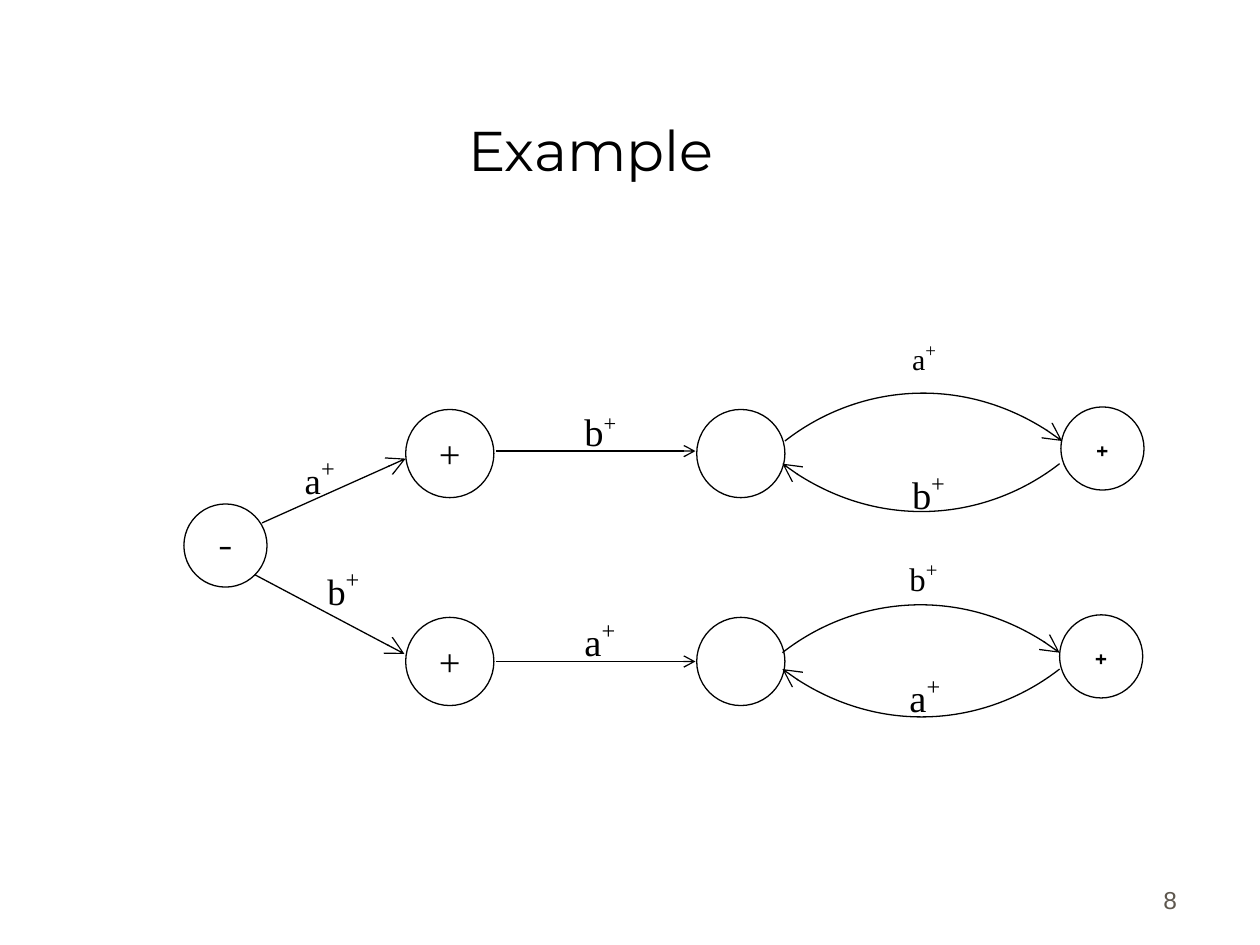
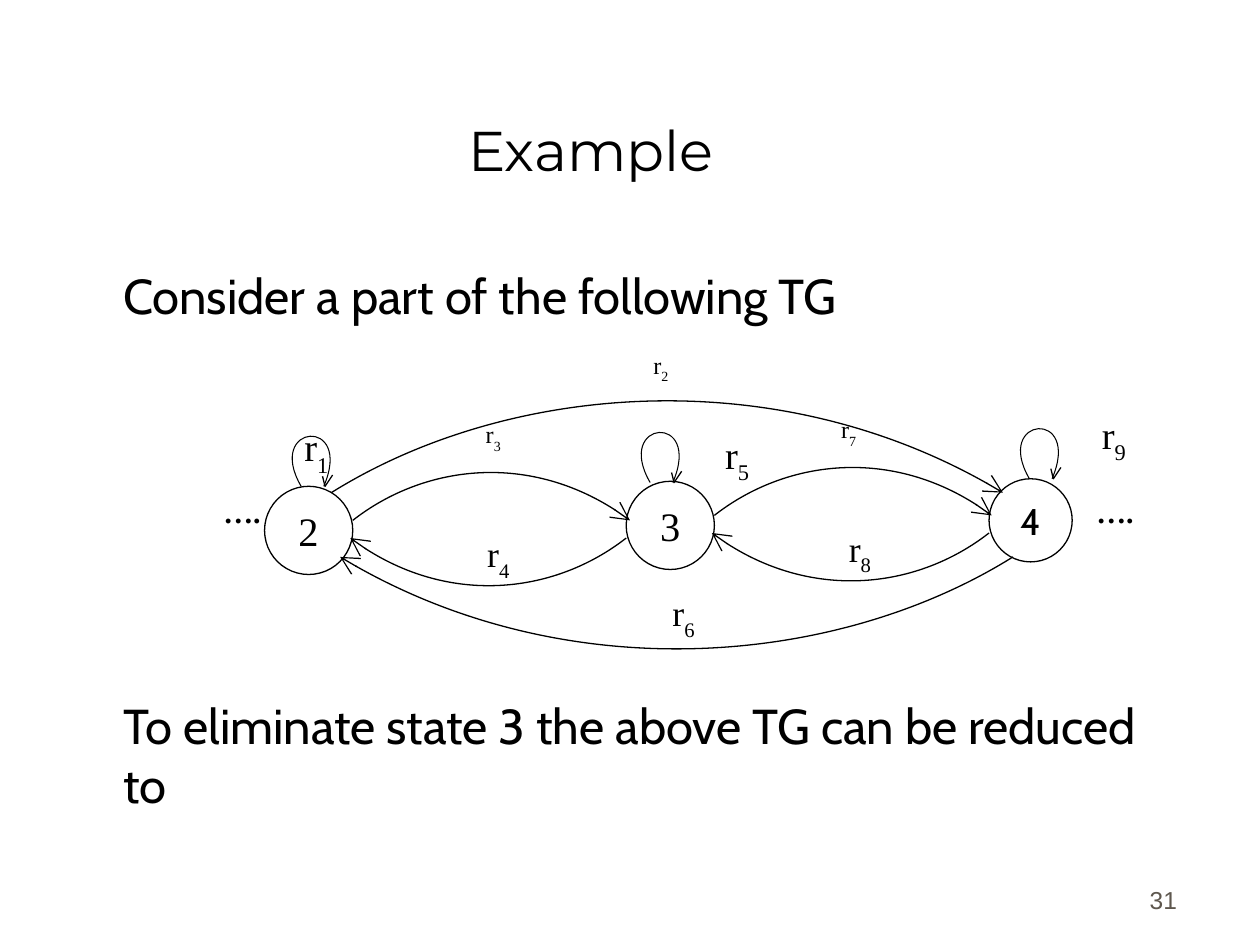
from lxml import etree
from pptx import Presentation
from pptx import util as u
from pptx.dml.color import RGBColor
from pptx.enum import shapes, text
from pptx.oxml import ns

INK, PAPER, GREY = "000000", "FFFFFF", "5E574E"
SERIF, SANS, TITLE_FONT, NUMBER_FONT = "Times New Roman", "Cabin", "Montserrat", "Arial"
colour = RGBColor.from_string
LEFT, CENTER, RIGHT = text.PP_ALIGN.LEFT, text.PP_ALIGN.CENTER, text.PP_ALIGN.RIGHT
TOP, MIDDLE, BOTTOM = text.MSO_ANCHOR.TOP, text.MSO_ANCHOR.MIDDLE, text.MSO_ANCHOR.BOTTOM


def write(box, spans, font=SERIF, align=LEFT, anchor=TOP, spacing=None,
          ink=INK, bold=False, margins=(0.1, 0.05)):
    """Fill a box with one paragraph; each span is (words, size, baseline shift in %)."""
    frame = box.text_frame
    frame.word_wrap = True
    frame.vertical_anchor = anchor
    frame.margin_left = frame.margin_right = u.Inches(margins[0])
    frame.margin_top = frame.margin_bottom = u.Inches(margins[1])
    para = frame.paragraphs[0]
    para.alignment = align
    para.line_spacing = spacing
    for words, size, shift in spans:
        span = para.add_run()
        span.text = words
        span.font.name = font
        span.font.size = u.Pt(size)
        span.font.bold = bold
        span.font.color.rgb = colour(ink)
        if shift:
            span._r.get_or_add_rPr().set("baseline", str(shift * 1000))


def draw(page, points, head=None, curved=False, width=0.75):
    """Draw a straight line, an open outline or a cubic curve, with an optional arrowhead."""
    spots = [(u.Inches(x), u.Inches(y)) for x, y in points]
    if len(spots) == 2:
        line = page.shapes.add_connector(shapes.MSO_CONNECTOR.STRAIGHT, *spots[0], *spots[1])
        etree.SubElement(line._element.spPr, ns.qn("a:effectLst"))
    else:
        builder = page.shapes.build_freeform(*spots[0])
        builder.add_line_segments(spots[1:], close=False)
        line = builder.convert_to_shape()
        line.shadow.inherit = False
        line.fill.background()
    if curved:
        outline = line._element.find(".//" + ns.qn("a:path"))
        bends = outline.findall(ns.qn("a:lnTo"))
        curve = etree.SubElement(outline, ns.qn("a:cubicBezTo"))
        for bend in bends:
            curve.append(bend[0])
            outline.remove(bend)
    line.line.color.rgb = colour(INK)
    line.line.width = u.Pt(width)
    if head:
        etree.SubElement(line.line._get_or_add_ln(), ns.qn("a:tailEnd"),
                         type="arrow", w=head, len=head)


# Content of each slide
# nodes: left, top, diameter, label, size, font
# arcs: start and end; the bend is a share of the span, upward when heading right
# labels: left, top, width, letter, size, mark, mark size, line spacing
slides = [
    {
        "number": "8",
        "sentences": [],
        "nodes": [
            (1.46, 4.0, 0.66, "–", 16, SANS),
            (3.22, 3.25, 0.7, "+", 22, SERIF),
            (3.22, 4.9, 0.7, "+", 22, SERIF),
            (5.53, 3.25, 0.7, "", 22, SERIF),
            (5.53, 4.9, 0.7, "", 22, SERIF),
            (8.42, 3.23, 0.66, "+", 16, SANS),
            (8.41, 4.88, 0.66, "+", 16, SANS),
        ],
        "lines": [
            ((2.08, 4.15), (3.22, 3.64), "lg"),
            ((2.02, 4.56), (3.21, 5.19), "lg"),
            ((3.94, 3.58), (5.52, 3.58), "med"),
            ((3.94, 5.25), (5.52, 5.25), "med"),
        ],
        "arcs": [
            ((6.23, 3.5), (8.43, 3.5)),
            ((8.41, 3.68), (6.21, 3.68)),
            ((6.21, 5.18), (8.41, 5.18)),
            ((8.41, 5.31), (6.21, 5.31)),
        ],
        "loops": [],
        "shift": 40,
        "align": LEFT,
        "labels": [
            (2.32, 3.54, 0.7, "a", 21, "+", 24, None),
            (2.5, 4.42, 0.7, "b", 21, "+", 24, None),
            (4.54, 3.19, 0.98, "b", 22, "+", 22, None),
            (4.54, 4.83, 0.98, "a", 22, "+", 24, None),
            (7.14, 2.69, 0.75, "a", 17.1, "+", 18.6, 0.8),
            (7.14, 3.66, 0.76, "b", 22, "+", 24, None),
            (7.12, 4.4, 0.7, "b", 18.7, "+", 20.4, 0.9),
            (7.12, 5.27, 0.7, "a", 22, "+", 24, None),
        ],
        "dots": [],
    },
    {
        "number": "31",
        "sentences": [
            (2.06, "Consider a part of the following TG"),
            (5.47, "To eliminate state 3 the above TG can be reduced to"),
        ],
        "nodes": [
            (2.1, 3.86, 0.7, "2", 23.1, SERIF),
            (4.97, 3.82, 0.7, "3", 23.1, SERIF),
            (7.85, 3.8, 0.66, "4", 21.2, SANS),
        ],
        "lines": [],
        "arcs": [
            ((2.63, 3.91), (7.96, 3.91)),
            ((2.8, 4.13), (5.0, 4.13)),
            ((5.67, 4.09), (7.87, 4.09)),
            ((4.97, 4.27), (2.78, 4.27)),
            ((7.85, 4.23), (5.65, 4.23)),
            ((8.04, 4.42), (2.7, 4.42)),
        ],
        "loops": [(2.39, 3.86), (5.16, 3.83), (8.17, 3.8)],
        "shift": -30,
        "align": CENTER,
        "labels": [
            (2.02, 3.31, 0.98, "r", 22, "1", 22, None),
            (5.04, 2.75, 0.41, "r", 13.8, "2", 13.8, 0.8),
            (3.71, 3.3, 0.41, "r", 13.8, "3", 13.8, 0.8),
            (3.71, 4.17, 0.49, "r", 20.4, "4", 20.4, 0.9),
            (5.36, 3.37, 0.98, "r", 22, "5", 22, None),
            (5.18, 4.64, 0.49, "r", 20.4, "6", 20.4, 0.9),
            (6.53, 3.26, 0.41, "r", 13.8, "7", 13.8, 0.8),
            (6.58, 4.13, 0.49, "r", 20.4, "8", 20.4, 0.9),
            (8.35, 3.21, 0.98, "r", 22, "9", 22, None),
        ],
        "dots": [1.54, 8.47],
    },
]

# Self-loop and its small arrowhead, measured from where the loop starts
LOOP = [(0, 0), (-0.29, -0.5), (0.42, -0.56), (0.18, 0)]
LOOP_HEAD = [(0.17, -0.08), (0.19, 0), (0.25, -0.09)]

deck = Presentation()
deck.slide_width, deck.slide_height = u.Inches(10), u.Inches(7.5)

for content in slides:
    page = deck.slides.add_slide(deck.slide_layouts[6])
    page.background.fill.solid()
    page.background.fill.fore_color.rgb = colour(PAPER)

    # Title and page number
    title = page.shapes.add_textbox(u.Inches(0.44), u.Inches(0.25), u.Inches(8.5), u.Inches(1.25))
    write(title, [("Example", 32, 0)], TITLE_FONT, CENTER, BOTTOM)
    number = page.shapes.add_textbox(u.Inches(7.36), u.Inches(6.81), u.Inches(2.08), u.Inches(0.5))
    write(number, [(content["number"], 14, 0)], NUMBER_FONT, RIGHT, BOTTOM, ink=GREY)

    # Sentences
    for top, words in content["sentences"]:
        box = page.shapes.add_textbox(u.Inches(0.88), u.Inches(top), u.Inches(8.56), u.Inches(1.1))
        write(box, [(words, 28, 0)], SANS)

    # States
    for left, top, size, label, points, font in content["nodes"]:
        state = page.shapes.add_shape(shapes.MSO_SHAPE.OVAL, u.Inches(left), u.Inches(top),
                                      u.Inches(size), u.Inches(size))
        state.shadow.inherit = False
        state.fill.solid()
        state.fill.fore_color.rgb = colour(PAPER)
        state.line.color.rgb = colour(INK)
        state.line.width = u.Pt(0.75)
        if label:
            write(state, [(label, points, 0)], font, CENTER, MIDDLE, margins=(0, 0))

    # Transitions
    for start, end, head in content["lines"]:
        draw(page, [start, end], head)
    for (x1, y1), (x2, y2) in content["arcs"]:
        span = x2 - x1
        near, far = (0.16, 0.2) if abs(span) > 3 else (0.2, 0.25)
        bends = [(x1 + 0.256 * span, y1 - near * span), (x1 + 0.67 * span, y1 - far * span)]
        draw(page, [(x1, y1), *bends, (x2, y2)], "lg", curved=True)
    for x, y in content["loops"]:
        draw(page, [(x + dx, y + dy) for dx, dy in LOOP], curved=True, width=0.6)
        draw(page, [(x + dx, y + dy) for dx, dy in LOOP_HEAD])

    # Transition labels
    for left, top, width, letter, size, mark, mark_size, spacing in content["labels"]:
        box = page.shapes.add_textbox(u.Inches(left), u.Inches(top), u.Inches(width), u.Inches(0.5))
        write(box, [(letter, size, 0), (mark, mark_size, content["shift"])],
              align=content["align"], spacing=spacing)

    # Dots for the rest of the graph
    for left in content["dots"]:
        box = page.shapes.add_textbox(u.Inches(left), u.Inches(3.92), u.Inches(0.76), u.Inches(0.42))
        write(box, [("….", 17.1, 0)], align=CENTER, spacing=0.8, bold=True)

deck.save("out.pptx")
